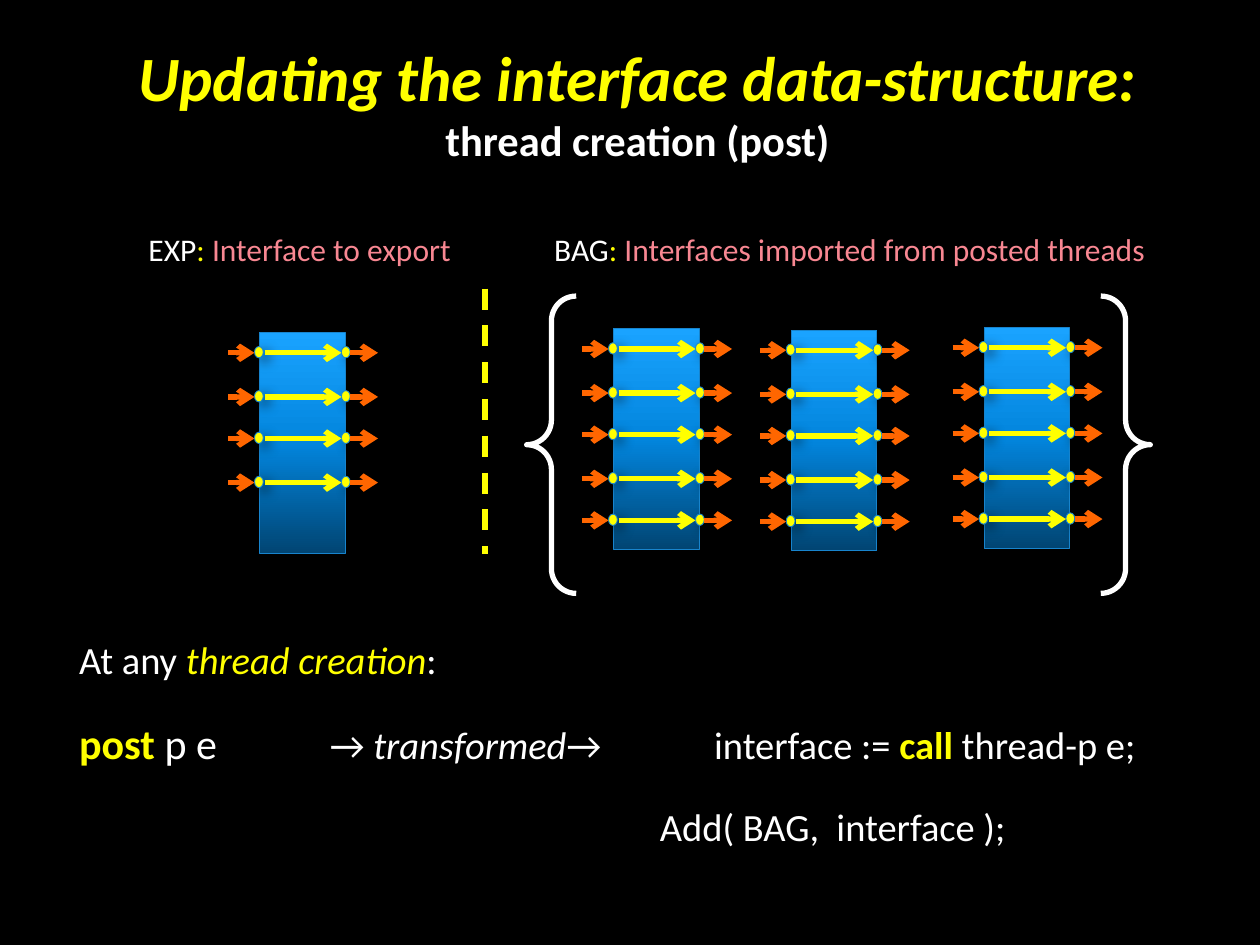
import copy
import lxml.etree
import pptx
import pptx.dml.color
import pptx.enum.dml
import pptx.enum.shapes
import pptx.enum.text
import pptx.oxml.ns
import pptx.util

Inches = pptx.util.Inches
Pt = pptx.util.Pt
RGBColor = pptx.dml.color.RGBColor
qn = pptx.oxml.ns.qn
SHAPE = pptx.enum.shapes.MSO_SHAPE
DASH = pptx.enum.dml.MSO_LINE
ALIGN = pptx.enum.text.PP_ALIGN
ANCHOR = pptx.enum.text.MSO_ANCHOR

BLACK = RGBColor(0x00, 0x00, 0x00)
WHITE = RGBColor(0xFF, 0xFF, 0xFF)
YELLOW = RGBColor(0xFF, 0xFF, 0x00)
ORANGE = RGBColor(0xFF, 0x66, 0x00)
PINK = RGBColor(0xF8, 0x87, 0x92)
EDGE_BLUE = RGBColor(0x18, 0x84, 0xCD)
DARK_BLUE = RGBColor(0x01, 0x45, 0x73)
MID_BLUE = RGBColor(0x02, 0x85, 0xDD)
LIGHT_BLUE = RGBColor(0x1A, 0xA3, 0xFF)


def add_line(shapes, x1, y1, x2, y2, color, dash=None, arrow=True):
    line = shapes.add_connector(pptx.enum.shapes.MSO_CONNECTOR.STRAIGHT,
                                Inches(x1), Inches(y1), Inches(x2), Inches(y2))
    line.line.color.rgb = color
    line.line.width = Pt(3)
    if dash:
        line.line.dash_style = dash
    if arrow:
        ln = line.line._get_or_add_ln()
        lxml.etree.SubElement(ln, qn("a:tailEnd"), type="arrow")
    lxml.etree.SubElement(line._element.spPr, qn("a:effectLst"))


def add_shadowed(shapes, kind, x, y, w, h):
    sp = shapes.add_shape(kind, Inches(x), Inches(y), Inches(w), Inches(h))
    sp.line.color.rgb = EDGE_BLUE
    sp.line.width = Pt(0.5)
    sp.shadow.inherit = False
    effects = sp._element.spPr.find(qn("a:effectLst"))
    shadow = lxml.etree.SubElement(effects, qn("a:outerShdw"), blurRad=str(Pt(7)),
                                   dist=str(Pt(4)), dir=str(35 * 60000), rotWithShape="0")
    tint = lxml.etree.SubElement(shadow, qn("a:srgbClr"), val=str(BLACK))
    lxml.etree.SubElement(tint, qn("a:alpha"), val="55000")
    return sp


prs = pptx.Presentation()
prs.slide_width = Inches(10)
prs.slide_height = Inches(7.5)
s = prs.slides.add_slide(prs.slide_layouts[6])
s.background.fill.solid()
s.background.fill.fore_color.rgb = BLACK

title = [[("Updating the interface data-structure:", 36, YELLOW, True, True),
          ("\n", 36, YELLOW, True, True),
          ("thread creation (post)", 24.3, WHITE, True, False)]]
body = [
    [("At any ", 22, WHITE, False, False),
     ("thread creation", 22, YELLOW, False, True),
     (":", 22, WHITE, False, False)],
    [("post ", 24, YELLOW, True, False),
     ("p e", 24, WHITE, False, False),
     ("\t→ ", 22, WHITE, False, False),
     ("transformed", 22, WHITE, False, True),
     ("→\tinterface := ", 22, WHITE, False, False),
     ("call", 22, YELLOW, True, False),
     (" thread-p e;", 22, WHITE, False, False)],
    [("\tAdd( BAG,  interface );", 22, WHITE, False, False)],
]
exp_label, bag_label = [
    [[(name, 18, WHITE, False, False),
      (": ", 18, YELLOW, False, False),
      (meaning, 18, PINK, False, False)]]
    for name, meaning in (("EXP", "Interface to export"),
                          ("BAG", "Interfaces imported from posted threads"))]

text_boxes = [
    (0.81, 0.03, 8.5, 1.56, True, ANCHOR.MIDDLE, ALIGN.CENTER, title, []),
    (0.53, 5, 9.06, 2.81, True, ANCHOR.TOP, ALIGN.LEFT, body, [[], [1.99, 5.04], [4.61]]),
    (1.08, 1.78, 2.82, 0.4, False, ANCHOR.TOP, ALIGN.LEFT, exp_label, []),
    (4.3, 1.78, 5.15, 0.4, False, ANCHOR.TOP, ALIGN.LEFT, bag_label, []),
]
for x, y, w, h, wrap, anchor, align, paragraphs, tabs in text_boxes:
    tf = s.shapes.add_textbox(Inches(x), Inches(y), Inches(w), Inches(h)).text_frame
    tf.word_wrap = wrap
    tf.vertical_anchor = anchor
    for i, runs in enumerate(paragraphs):
        p = tf.add_paragraph() if i else tf.paragraphs[0]
        if tabs and tabs[i]:
            tab_list = lxml.etree.SubElement(p._p.get_or_add_pPr(), qn("a:tabLst"))
            for stop in tabs[i]:
                lxml.etree.SubElement(tab_list, qn("a:tab"), pos=str(Inches(stop)), algn="l")
        p.alignment = align
        if i:
            p.space_before = Pt(20)
        for text, size, color, bold, italic in runs:
            if text == "\n":
                p.add_line_break()
                continue
            r = p.add_run()
            r.text = text
            r.font.name = "Calibri"
            r.font.size = Pt(size)
            r.font.color.rgb = color
            r.font.bold = bold
            r.font.italic = italic

row_offsets = [0.16, 0.51, 0.84, 1.19, 1.52]
interfaces = [(2.06, 2.64, 4), (4.87, 2.61, 5), (6.28, 2.62, 5), (7.81, 2.6, 5)]
for x, y, rows in interfaces:
    shapes = s.shapes.add_group_shape().shapes
    block = add_shadowed(shapes, SHAPE.RECTANGLE, x, y, 0.68, 1.75)
    block.fill.gradient()
    block.fill.gradient_angle = 90
    stop_list = block._element.spPr.find(".//" + qn("a:gsLst"))
    stop_list.insert(1, copy.deepcopy(stop_list[0]))
    for stop, position, color in zip(block.fill.gradient_stops, (0, 0.5, 1),
                                     (DARK_BLUE, MID_BLUE, LIGHT_BLUE)):
        stop.position = position
        stop.color.rgb = color
    for offset in row_offsets[:rows]:
        row_y = y + offset
        for dot_x in (x - 0.04, x + 0.65):
            dot = add_shadowed(shapes, SHAPE.OVAL, dot_x, row_y - 0.05, 0.07, 0.09)
            dot.fill.solid()
            dot.fill.fore_color.rgb = YELLOW
        add_line(shapes, x + 0.04, row_y, x + 0.65, row_y, YELLOW)
        add_line(shapes, x - 0.25, row_y, x - 0.04, row_y, ORANGE, DASH.SQUARE_DOT)
        add_line(shapes, x + 0.72, row_y, x + 0.94, row_y, ORANGE, DASH.SQUARE_DOT)

add_line(s.shapes, 3.85, 2.29, 3.85, 4.4, YELLOW, DASH.DASH, arrow=False)

brace = s.shapes.add_shape(SHAPE.DOUBLE_BRACE, Inches(4.18), Inches(2.35),
                           Inches(4.95), Inches(2.36))
brace.shadow.inherit = False
brace.fill.background()
brace.line.color.rgb = WHITE
brace.line.width = Pt(3)

prs.save("out.pptx")
